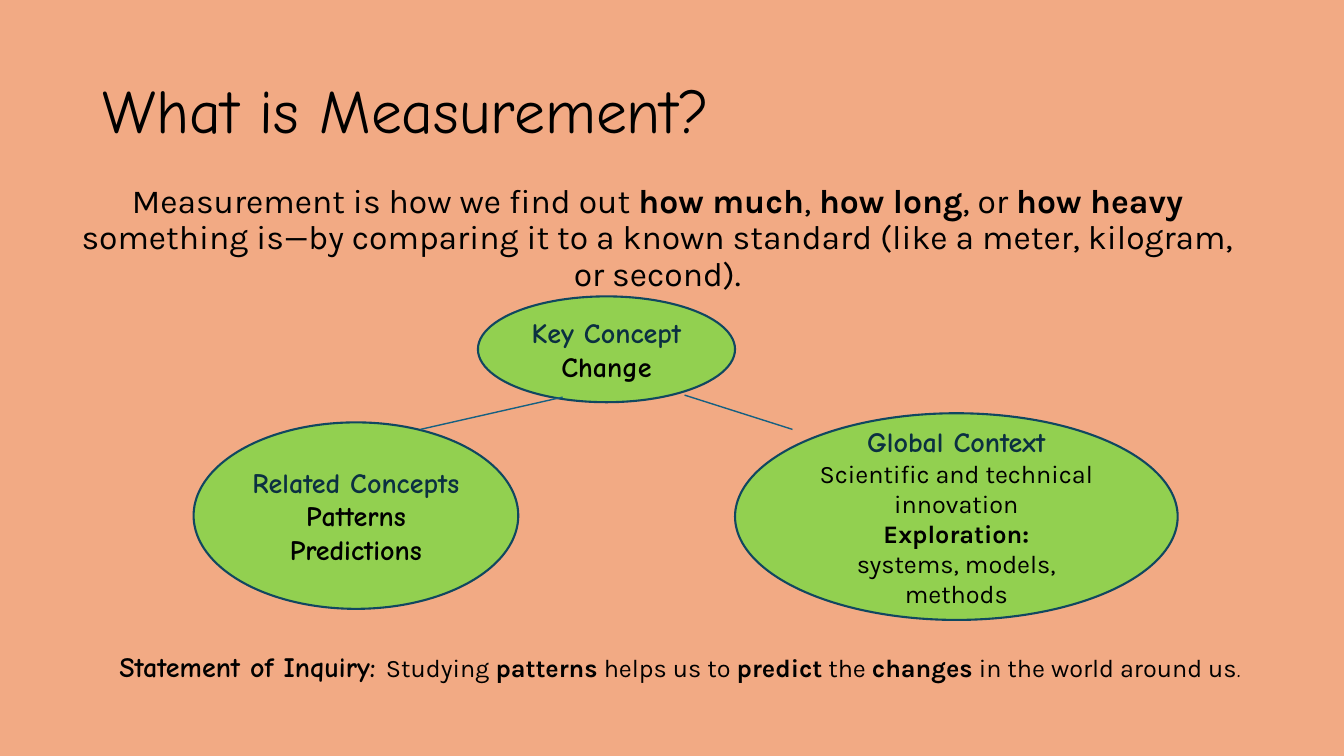
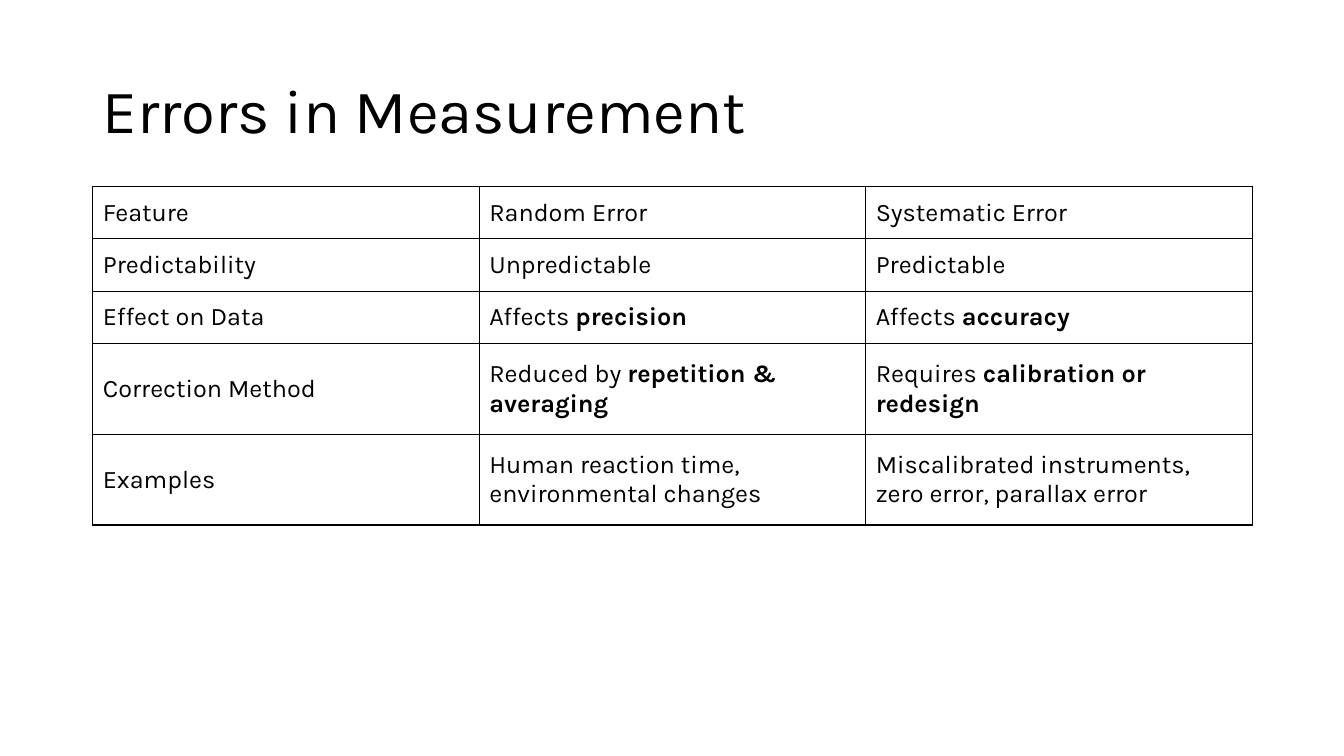
from pptx import Presentation
from pptx.dml.color import RGBColor
from pptx.enum.shapes import MSO_CONNECTOR, MSO_SHAPE
from pptx.enum.text import MSO_ANCHOR as Anchor, MSO_AUTO_SIZE as AutoSize, PP_ALIGN as Align
from pptx.oxml.ns import qn
from pptx.util import Inches, Pt
from lxml.etree import SubElement

# Shared style
PEACH = RGBColor(0xF2, 0xAA, 0x84)
WHITE = RGBColor(0xFF, 0xFF, 0xFF)
BLACK = RGBColor(0x00, 0x00, 0x00)
GREEN = RGBColor(0x92, 0xD0, 0x50)
OUTLINE = RGBColor(0x10, 0x47, 0x60)
NAVY = RGBColor(0x0B, 0x30, 0x41)
TEAL = RGBColor(0x15, 0x60, 0x82)
HAND, PLAIN = "Comic Neue", "Karla"
TITLE_ONLY, TITLE_AND_BODY = 5, 1


def write(paragraph, text, font=PLAIN, size=18, color=BLACK, bold=False):
    """Add text to a paragraph; **marks** switch bold on and off."""
    for index, piece in enumerate(text.split("**")):
        if piece:
            run = paragraph.add_run()
            run.text = piece
            run.font.name, run.font.size = font, Pt(size)
            run.font.color.rgb = color
            run.font.bold = bold != (index % 2 == 1)


def place(shape, left, top, width, height):
    shape.left, shape.top = Inches(left), Inches(top)
    shape.width, shape.height = Inches(width), Inches(height)


class Deck:
    def __init__(self):
        self.prs = Presentation()
        self.prs.slide_width, self.prs.slide_height = Inches(13.33), Inches(7.5)
        self.slide = None

    def new_slide(self, layout, background, title, title_font):
        self.slide = self.prs.slides.add_slide(self.prs.slide_layouts[layout])
        fill = self.slide.background.fill
        fill.solid()
        fill.fore_color.rgb = background
        heading = self.slide.shapes.title
        place(heading, 0.92, 0.4, 11.5, 1.45)
        paragraph = self.frame(heading, Anchor.MIDDLE).paragraphs[0]
        paragraph.alignment, paragraph.line_spacing = Align.LEFT, 0.9
        write(paragraph, title, font=title_font, size=44)

    def frame(self, shape, anchor, auto_size=AutoSize.NONE):
        frame = shape.text_frame
        frame.word_wrap, frame.auto_size = True, auto_size
        frame.vertical_anchor = anchor
        return frame

    def body(self, text, *box):
        holder = self.slide.placeholders[1]
        place(holder, *box)
        paragraph = self.frame(holder, Anchor.TOP).paragraphs[0]
        properties = paragraph._p.get_or_add_pPr()
        properties.set("marL", "0")
        properties.set("indent", "0")
        SubElement(properties, qn("a:buNone"))
        paragraph.alignment, paragraph.line_spacing = Align.CENTER, 0.9
        paragraph.space_before = Pt(0)
        write(paragraph, text, size=24)

    def bubble(self, heading, lines, *box, **line_format):
        oval = self.slide.shapes.add_shape(MSO_SHAPE.OVAL, *map(Inches, box))
        oval.shadow.inherit = False
        oval.fill.solid()
        oval.fill.fore_color.rgb = GREEN
        oval.line.color.rgb, oval.line.width = OUTLINE, Pt(1.5)
        frame = self.frame(oval, Anchor.MIDDLE)
        write(frame.paragraphs[0], heading, font=HAND, size=20, color=NAVY, bold=True)
        for line in lines:
            write(frame.add_paragraph(), line, **line_format)
        for paragraph in frame.paragraphs:
            paragraph.alignment = Align.CENTER

    def caption(self, *box):
        holder = self.slide.shapes.add_textbox(*map(Inches, box))
        paragraph = self.frame(holder, Anchor.TOP, AutoSize.SHAPE_TO_FIT_TEXT).paragraphs[0]
        paragraph.alignment = Align.CENTER
        return paragraph

    def link(self, *ends):
        line = self.slide.shapes.add_connector(MSO_CONNECTOR.STRAIGHT, *map(Inches, ends))
        line.line.color.rgb, line.line.width = TEAL, Pt(1)
        SubElement(line._element.spPr, qn("a:effectLst"))

    def table(self, rows, heights, left, top, width):
        table = self.slide.shapes.add_table(
            len(rows), len(rows[0]), Inches(left), Inches(top),
            Inches(width), Inches(sum(heights))).table
        table.first_row = table.horz_banding = False
        for row, height, texts in zip(table.rows, heights, rows):
            row.height = Inches(height)
            for cell, text in zip(row.cells, texts):
                self.borders(cell)
                cell.fill.background()
                cell.vertical_anchor = Anchor.MIDDLE
                write(cell.text_frame.paragraphs[0], text)

    def borders(self, cell):
        properties = cell._tc.get_or_add_tcPr()
        for side in ("a:lnL", "a:lnR", "a:lnT", "a:lnB"):
            edge = SubElement(properties, qn(side), w=str(Pt(1)))
            SubElement(SubElement(edge, qn("a:solidFill")), qn("a:srgbClr"), val=str(BLACK))


def build_concepts(deck):
    deck.new_slide(TITLE_AND_BODY, PEACH, "What is Measurement?", HAND)
    deck.body("Measurement is how we find out **how much**, **how long**, or **how heavy** "
              "something is—by comparing it to a known standard "
              "(like a meter, kilogram, or second).", 0.55, 1.78, 11.94, 1.08)

    # Concept map
    hand_lines = dict(font=HAND, size=20, bold=True)
    deck.bubble("Key Concept", ["Change"], 4.74, 2.94, 2.55, 1.05, **hand_lines)
    deck.bubble("Related Concepts", ["Patterns", "Predictions"],
                1.92, 4.19, 3.22, 1.85, **hand_lines)
    deck.bubble("Global Context",
                ["Scientific and technical innovation", "**Exploration:**",
                 "systems, models, methods"], 7.29, 4.1, 4.39, 2.05)

    # Statement of inquiry
    statement = deck.caption(0.92, 6.39, 11.65, 0.44)
    write(statement, "Statement of Inquiry: ", **hand_lines)
    write(statement, "Studying **patterns** helps us to **predict** the **changes** "
                     "in the world around us")
    write(statement, ".", font=HAND)

    # Links from the key concept
    deck.link(5.58, 3.94, 4.17, 4.26)
    deck.link(6.79, 3.92, 7.86, 4.26)


def build_errors(deck):
    deck.new_slide(TITLE_ONLY, WHITE, "Errors in Measurement", PLAIN)
    comparison = [
        ("Feature", "Random Error", "Systematic Error"),
        ("Predictability", "Unpredictable", "Predictable"),
        ("Effect on Data", "Affects **precision**", "Affects **accuracy**"),
        ("Correction Method", "Reduced by **repetition & averaging**",
         "Requires **calibration or redesign**"),
        ("Examples", "Human reaction time, environmental changes",
         "Miscalibrated instruments, zero error, parallax error"),
    ]
    deck.table(comparison, [0.52] * 3 + [0.9] * 2, 0.92, 1.85, 11.5)


def main():
    deck = Deck()
    build_concepts(deck)
    build_errors(deck)
    deck.prs.save("out.pptx")


if __name__ == "__main__":
    main()
